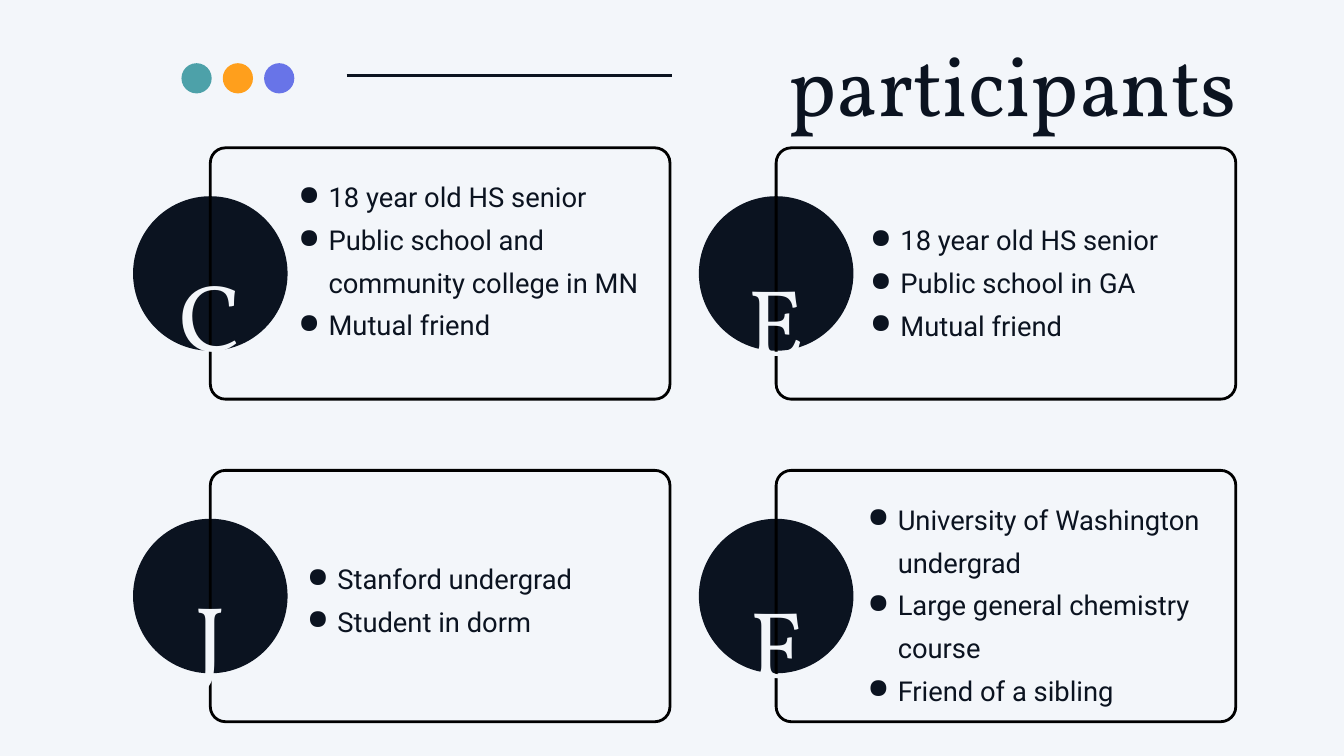
from lxml.etree import SubElement
from pptx import Presentation
from pptx.dml.color import RGBColor
from pptx.enum.shapes import MSO_CONNECTOR, MSO_SHAPE
from pptx.enum.text import MSO_AUTO_SIZE, PP_ALIGN
from pptx.oxml.ns import qn
from pptx.util import Pt

EMU_PER_PX = 9144
COLORS = {
    "paper": "F3F6FA", "ink": "0B1320", "border": "000000",
    "teal": "4DA1A9", "orange": "FF9F1C", "violet": "6874E8",
}
CARD_LEFT, CARD_TOP, CARD_W, CARD_H = 313, 220, 684, 374
COL_PITCH, ROW_PITCH = 842, 480
BADGE_SIZE, BADGE_DROP, LETTER_W = 230, 72, 196
PARTICIPANTS = [
    ("C", 0, 0, 314, (439, 254, 550, 242),
     ["18 year old HS senior", "Public school and community college in MN", "Mutual friend"]),
    ("J", 0, 1, 793, (452, 822, 525, 114),
     ["Stanford undergrad", "Student in dorm"]),
    ("E", 1, 0, 322, (1290, 318, 550, 178),
     ["18 year old HS senior", "Public school in GA", "Mutual friend"]),
    ("F", 1, 1, 801, (1286, 734, 557, 306),
     ["University of Washington undergrad", "Large general chemistry course", "Friend of a sibling"]),
]


def px(n):
    return int(n * EMU_PER_PX)


def rgb(name):
    return RGBColor.from_string(COLORS[name])


def add_circle(slide, x, y, size, color):
    sp = slide.shapes.add_shape(MSO_SHAPE.OVAL, px(x), px(y), px(size), px(size))
    sp.shadow.inherit = False
    sp.fill.solid()
    sp.fill.fore_color.rgb = rgb(color)
    sp.line.fill.background()


def add_card(slide, x, y):
    sp = slide.shapes.add_shape(MSO_SHAPE.ROUNDED_RECTANGLE, px(x), px(y), px(CARD_W), px(CARD_H))
    sp.shadow.inherit = False
    sp.adjustments[0] = 0.06
    sp.fill.background()
    sp.line.color.rgb = rgb("border")
    sp.line.width = Pt(3)


def add_rule(slide, x1, x2, y):
    line = slide.shapes.add_connector(MSO_CONNECTOR.STRAIGHT, px(x1), px(y), px(x2), px(y))
    line.line.color.rgb = rgb("ink")
    line.line.width = Pt(3)
    SubElement(line._element.spPr, qn("a:effectLst"))


def add_text(slide, box, text, font, size, color, align, spacing):
    tf = slide.shapes.add_textbox(*map(px, box)).text_frame
    tf.margin_left = tf.margin_top = tf.margin_right = tf.margin_bottom = 0
    tf.word_wrap = True
    tf.auto_size = MSO_AUTO_SIZE.SHAPE_TO_FIT_TEXT
    tf.text = text
    for p in tf.paragraphs:
        p.alignment = align
        p.line_spacing = spacing
        for r in p.runs:
            r.font.name = font
            r.font.size = Pt(size)
            r.font.color.rgb = rgb(color)
    return tf


def add_bullets(slide, box, items):
    tf = add_text(slide, box, "\n".join(items), "Roboto", 29.3, "ink", PP_ALIGN.LEFT, 1.3)
    for p in tf.paragraphs:
        pPr = p._p.get_or_add_pPr()
        pPr.set("marL", str(px(50)))
        pPr.set("indent", str(px(-45)))
        clr = SubElement(pPr, qn("a:buClr"))
        SubElement(clr, qn("a:srgbClr"), val=COLORS["ink"])
        SubElement(pPr, qn("a:buChar"), char="●")


def add_participant(slide, letter, col, row, letter_top, bullet_box, items):
    x, y = CARD_LEFT + col * COL_PITCH, CARD_TOP + row * ROW_PITCH
    add_circle(slide, x - BADGE_SIZE // 2, y + BADGE_DROP, BADGE_SIZE, "ink")
    add_card(slide, x, y)
    add_text(slide, (x - LETTER_W // 2, letter_top, LETTER_W, 171), letter,
             "Vollkorn", 101.6, "paper", PP_ALIGN.CENTER, 1.4)
    add_bullets(slide, bullet_box, items)


def main():
    """Build the participants slide and save it."""
    prs = Presentation()
    prs.slide_width, prs.slide_height = px(2000), px(1125)
    slide = prs.slides.add_slide(prs.slide_layouts[6])
    slide.background.fill.solid()
    slide.background.fill.fore_color.rgb = rgb("paper")
    for participant in PARTICIPANTS:
        add_participant(slide, *participant)
    add_text(slide, (952, 18, 888, 152), "participants", "Vollkorn", 90, "ink", PP_ALIGN.RIGHT, 1.2)
    add_rule(slide, 516, 1000, 112)
    for i, color in enumerate(("teal", "orange", "violet")):
        add_circle(slide, 270 + i * 61.5, 94, 45, color)
    prs.save("out.pptx")


if __name__ == "__main__":
    main()
